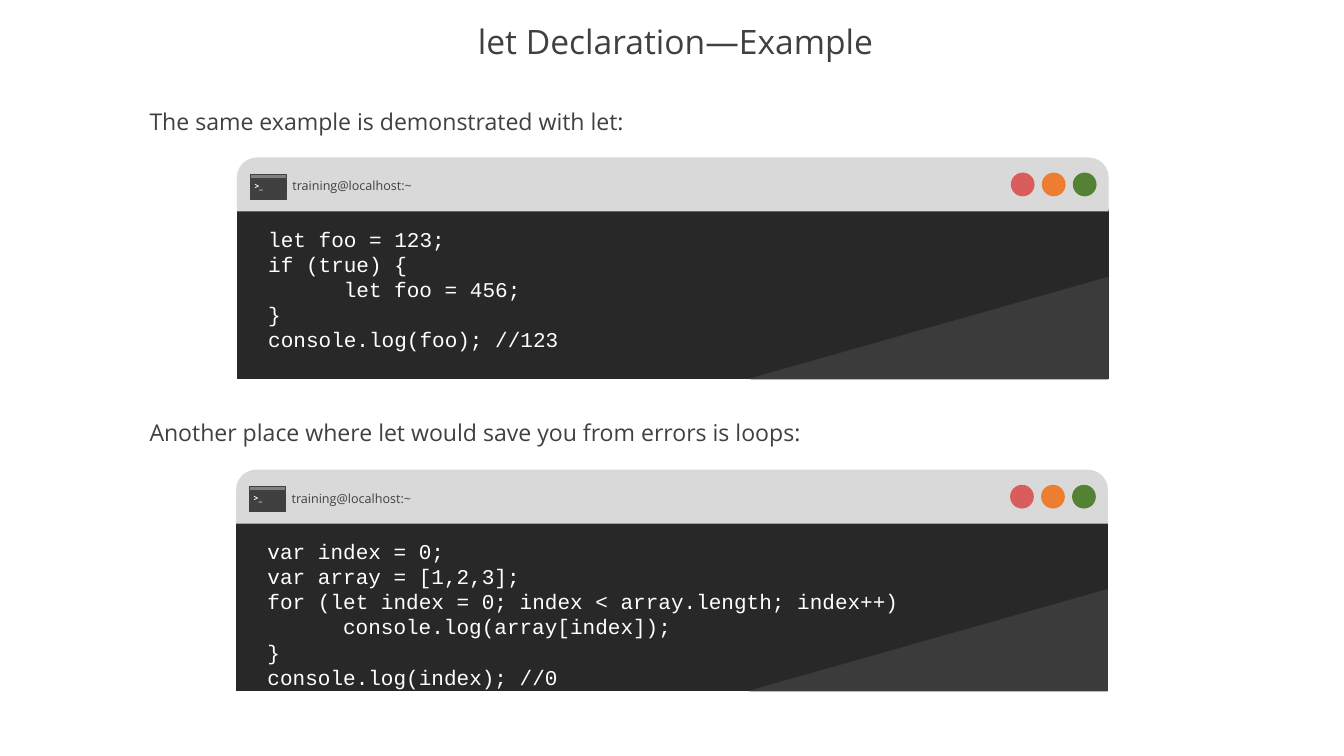
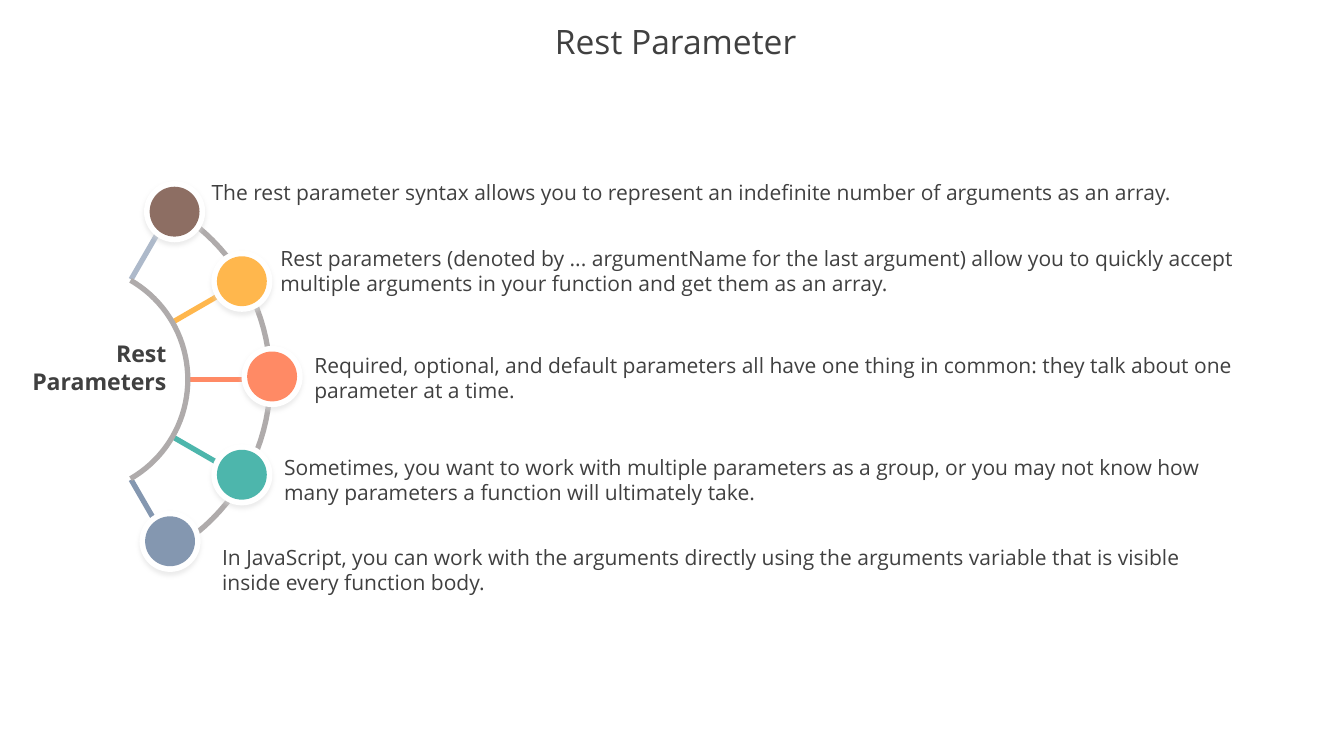
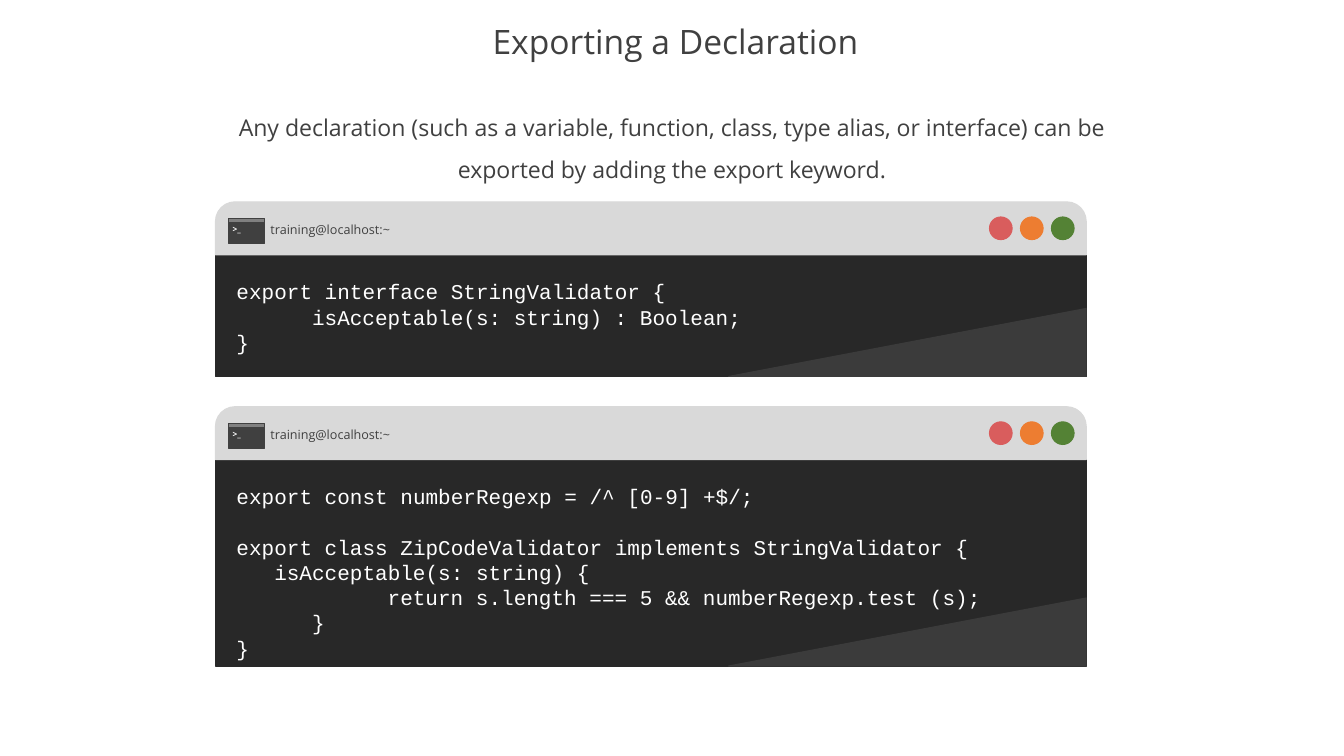
import math

import pptx
import pptx.dml.color
import pptx.enum.shapes
import pptx.enum.text
import pptx.oxml
import pptx.util
from lxml import etree
from pptx.oxml import ns

Inches = pptx.util.Inches
Pt = pptx.util.Pt
KIND = pptx.enum.shapes.MSO_SHAPE
ALIGN = pptx.enum.text.PP_ALIGN


def tint(code):
    return pptx.dml.color.RGBColor.from_string(code)


class Deck:
    FONT, MONO = "Open Sans", "Courier New"
    INK, WHITE, GREY = "404040", "FFFFFF", "AFABAB"
    DARK, WEDGE, BAR, STRIP = "282828", "3B3B3B", "D9D9D9", "808080"
    DOTS = ("D95D5D", "ED7D31", "548235")

    def __init__(self):
        self.file = pptx.Presentation()
        self.file.slide_width = Inches(17.78)
        self.file.slide_height = Inches(10)

    def page(self, title):
        """Start a slide with its title."""
        self.slide = self.file.slides.add_slide(self.file.slide_layouts[6])
        self.area = self.slide.shapes
        box = self.text((0, 0.21, 17.78, 0.73), [title], 32,
                        align=ALIGN.CENTER, space=0.9, grow=False)
        frame = box.text_frame
        frame.vertical_anchor = pptx.enum.text.MSO_ANCHOR.MIDDLE
        frame.margin_right = frame.margin_top = frame.margin_bottom = 0
        frame.paragraphs[0].space_before = Pt(13.3)

    def group(self):
        """Send the next shapes to a new group."""
        self.area = self.slide.shapes.add_group_shape().shapes

    def free(self):
        """Send the next shapes to the slide itself."""
        self.area = self.slide.shapes

    def paint(self, shape, fill, line=None):
        shape.shadow.inherit = False
        shape.fill.solid()
        shape.fill.fore_color.rgb = tint(fill)
        if line:
            shape.line.color.rgb = tint(line)
            shape.line.width = Pt(1)
        else:
            shape.line.fill.background()
        return shape

    def shape(self, kind, box, fill, line=None):
        return self.paint(self.area.add_shape(kind, *map(Inches, box)), fill, line)

    def poly(self, dots, fill, line=None):
        """Draw a closed outline through the dots."""
        dots = [(Inches(x), Inches(y)) for x, y in dots]
        pen = self.area.build_freeform(*dots[0])
        pen.add_line_segments(dots[1:], close=True)
        return self.paint(pen.convert_to_shape(), fill, line)

    def text(self, box, lines, size, color=INK, font=FONT, bold=False,
             align=None, space=None, wrap=True, grow=True):
        shape = self.area.add_textbox(*map(Inches, box))
        frame = shape.text_frame
        frame.word_wrap = wrap
        if grow:
            frame.auto_size = pptx.enum.text.MSO_AUTO_SIZE.SHAPE_TO_FIT_TEXT
        for at, line in enumerate(lines):
            para = frame.add_paragraph() if at else frame.paragraphs[0]
            para.alignment = align
            para.line_spacing = space
            run = para.add_run()
            run.text = line
            run.font.name = font
            run.font.size = Pt(size)
            run.font.bold = bold
            run.font.color.rgb = tint(color)
        return shape

    def code(self, box, lines):
        """Set code lines, each (indent in inches, text, gap before in points)."""
        shape = self.text(box, [line[1] for line in lines], 20, self.WHITE, self.MONO)
        for para, (indent, _, *gap) in zip(shape.text_frame.paragraphs, lines):
            if indent:
                para._p.get_or_add_pPr().set("marL", str(Inches(indent)))
            if gap:
                para.space_before = Pt(gap[0])

    def term(self, left, top, body, wedge, inset, high, lines):
        """Draw a terminal window with its code."""
        self.group()
        wide, base = 11.52, top + 0.68
        right, foot = left + wide, base + body
        self.shape(KIND.RECTANGLE, (left, base, wide, body), self.DARK, self.DARK)
        self.poly([(right, foot - wedge), (right, foot), (right - 4.73, foot)],
                  self.WEDGE, self.WEDGE)
        bar = self.shape(KIND.ROUND_2_SAME_RECTANGLE, (left, top, wide, 0.7),
                         self.BAR, self.BAR)
        bar.adjustments[0] = 0.37
        for at, color in enumerate(self.DOTS):
            self.shape(KIND.OVAL, (left + 10.24 + at * 0.41, top + 0.2, 0.3, 0.3),
                       color, color)
        # Icon and label
        self.text((left + 0.63, top + 0.22, 1.8, 0.3), ["training@localhost:~"],
                  12, wrap=False)
        self.shape(KIND.RECTANGLE, (left + 0.17, top + 0.28, 0.48, 0.27),
                   self.INK, self.INK)
        self.shape(KIND.RECTANGLE, (left + 0.17, top + 0.22, 0.48, 0.05),
                   self.STRIP, self.INK)
        self.text((left + 0.1, top + 0.25, 0.34, 0.24), [" >_"], 8, self.WHITE,
                  bold=True, wrap=False)
        self.code((left + inset[0], top + inset[1], 10.89, high), lines)
        self.free()

    def arc(self, hub, near, far, color):
        """Draw a ring part that spans 60 degrees each side of the axis."""
        turns = range(-60, 61, 3)
        self.poly([polar(hub, far, turn) for turn in turns]
                  + [polar(hub, near, turn) for turn in reversed(turns)], color)

    def spoke(self, hub, turn, color):
        """Draw a straight bar that points away from the hub."""
        half = 0.035
        side = polar((0, 0), half, turn + 90)
        ends = [polar(hub, reach, turn) for reach in (1.53, 2.3)]
        one, two = ([(x + sign * side[0], y + sign * side[1]) for x, y in ends]
                    for sign in (1, -1))
        self.poly(one + two[::-1], color)

    def node(self, mid, color):
        """Draw a disc on a white rim with a soft shadow."""
        self.group()
        for size, fill in ((0.81, self.WHITE), (0.66, color)):
            disc = self.shape(KIND.OVAL, (mid[0] - size / 2, mid[1] - size / 2,
                                          size, size), fill)
            if fill == self.WHITE:
                self.shade(disc)
        self.free()

    def shade(self, shape):
        effect = shape._element.spPr.find(ns.qn("a:effectLst"))
        shadow = etree.SubElement(effect, ns.qn("a:outerShdw"), blurRad=str(Pt(4)),
                                  dist=str(Pt(3)), dir="5400000", rotWithShape="0")
        color = etree.SubElement(shadow, ns.qn("a:srgbClr"), val=self.BAR)
        etree.SubElement(color, ns.qn("a:alpha"), val="47000")


def polar(hub, reach, turn):
    turn = math.radians(turn)
    return hub[0] + reach * math.cos(turn), hub[1] + reach * math.sin(turn)


def let_page(deck):
    deck.page("let Declaration—Example")
    deck.text((1.88, 1.37, 6.56, 0.47),
              ["The same example is demonstrated with let:"], 22, wrap=False)
    deck.text((1.88, 5.49, 11.57, 0.47),
              ["Another place where let would save you from errors is loops:"], 22)
    inset = (0.31, 0.85)
    deck.term(3.14, 2.09, 2.24, 1.34, inset, 1.78, [
        (0, "let foo = 123;"),
        (0, "if (true) {"),
        (1, "let foo = 456;"),
        (0, "}"),
        (0, "console.log(foo); //123"),
    ])
    deck.term(3.13, 6.22, 2.24, 1.34, inset, 2.12, [
        (0, "var index = 0;"),
        (0, "var array = [1,2,3];"),
        (0, "for (let index = 0; index < array.length; index++)"),
        (1, "console.log(array[index]);"),
        (0, "}"),
        (0, "console.log(index); //0"),
    ])


def rest_page(deck):
    deck.page("Rest Parameter")
    hub = (0.97, 5.02)
    # Each point: spoke colour, disc colour, disc centre, text box, text
    points = [
        ("ADB9CA", "8D6E63", (2.31, 2.8), (2.7, 2.33, 14.3, 0.44),
         "The rest parameter syntax allows you to represent an indefinite "
         "number of arguments as an array."),
        ("FFB74D", "FFB74D", (3.2, 3.72), (3.61, 3.2, 13.88, 0.77),
         "Rest parameters (denoted by ... argumentName for the last argument) "
         "allow you to quickly accept multiple arguments in your function and "
         "get them as an array."),
        ("FF8A65", "FF8A65", (3.6, 4.98), (4.06, 4.61, 13.09, 0.77),
         "Required, optional, and default parameters all have one thing in "
         "common: they talk about one parameter at a time."),
        ("4DB6AC", "4DB6AC", (3.2, 6.28), (3.66, 5.96, 13.09, 0.77),
         "Sometimes, you want to work with multiple parameters as a group, or "
         "you may not know how many parameters a function will ultimately take."),
        ("8497B0", "8497B0", (2.25, 7.16), (2.84, 7.15, 13.09, 0.77),
         "In JavaScript, you can work with the arguments directly using the "
         "arguments variable that is visible inside every function body."),
    ]
    # Spokes, rings, then discs on top
    for at, point in enumerate(points):
        deck.spoke(hub, -60 + at * 30, point[0])
    deck.arc(hub, 2.57, 2.64, deck.GREY)
    deck.arc(hub, 1.48, 1.55, deck.GREY)
    for _, color, mid, box, words in points:
        deck.node(mid, color)
        deck.text(box, [words], 20)
    deck.text((0.03, 4.44, 2.27, 0.84), ["Rest Parameters"], 22, bold=True,
              align=ALIGN.RIGHT)


def export_page(deck):
    deck.page("Exporting a Declaration")
    deck.text((2.6, 1.27, 12.58, 1.21),
              ["Any declaration (such as a variable, function, class, type alias, "
               "or interface) can be exported by adding the export keyword."],
              22, align=ALIGN.CENTER, space=1.5)
    inset = (0.18, 0.97)
    deck.term(2.85, 2.67, 1.63, 0.9, inset, 1.11, [
        (0, "export interface StringValidator {"),
        (1, "isAcceptable(s: string) : Boolean;"),
        (0, "}"),
    ])
    deck.term(2.85, 5.38, 2.75, 0.9, inset, 2.46, [
        (0, "export const numberRegexp = /^ [0-9] +$/;"),
        (0, "export class ZipCodeValidator implements StringValidator {", 24),
        (0.5, "isAcceptable(s: string) {"),
        (2, "return s.length === 5 && numberRegexp.test (s);"),
        (1, "}"),
        (0, "}"),
    ])


def main():
    deck = Deck()
    let_page(deck)
    rest_page(deck)
    export_page(deck)
    deck.file.save("out.pptx")


if __name__ == "__main__":
    main()
